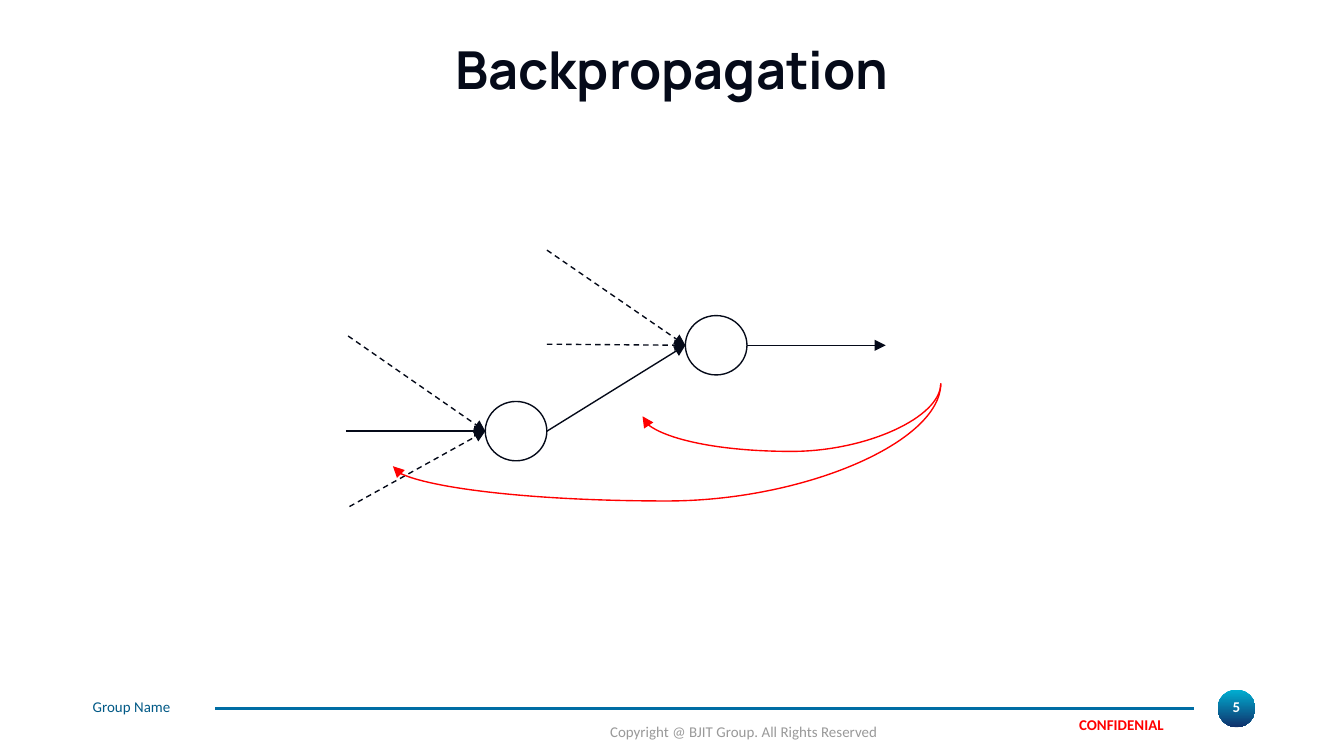
import pptx
import pptx.dml.color
import pptx.enum.dml
import pptx.enum.shapes
import pptx.enum.text
import pptx.oxml.ns
import pptx.util
from lxml import etree

Pt = pptx.util.Pt
qn = pptx.oxml.ns.qn
SHAPE = pptx.enum.shapes.MSO_SHAPE
CONNECTOR = pptx.enum.shapes.MSO_CONNECTOR
ALIGN = pptx.enum.text.PP_ALIGN
MIDDLE = pptx.enum.text.MSO_ANCHOR.MIDDLE

INK, RED, WHITE = "050A19", "FF0000", "FFFFFF"
NEURON_SIZE = (33, 31.8)
BOX_INSETS = (7.2, 3.6, 7.2, 3.6)


def rgb(color):
    return pptx.dml.color.RGBColor.from_string(color)


def write(shape, text, size, color, bold=False, align=ALIGN.LEFT,
          font="Calibri", insets=(0, 0, 0, 0), anchor=None):
    frame = shape.text_frame
    left, top, right, bottom = map(Pt, insets)
    frame_format = {"margin_left": left, "margin_top": top, "margin_right": right,
                    "margin_bottom": bottom, "word_wrap": True,
                    "auto_size": pptx.enum.text.MSO_AUTO_SIZE.NONE}
    for name, value in frame_format.items():
        setattr(frame, name, value)
    if anchor is not None:
        frame.vertical_anchor = anchor
    paragraph = frame.paragraphs[0]
    paragraph.alignment = align
    run = paragraph.add_run()
    run.text = text
    for name, value in {"size": Pt(size), "bold": bold, "name": font}.items():
        setattr(run.font, name, value)
    run.font.color.rgb = rgb(color)


def add_label(slide, box, text, color, **text_format):
    write(slide.shapes.add_textbox(*map(Pt, box)), text, 8, color, **text_format)


def add_plain_shape(slide, kind, box):
    shape = slide.shapes.add_shape(kind, *map(Pt, box))
    shape.shadow.inherit = False
    shape.line.fill.background()
    return shape


def add_line(slide, start, end, color=INK, width=0.75, dashed=False, arrow=True,
             kind=CONNECTOR.STRAIGHT):
    line = slide.shapes.add_connector(kind, *map(Pt, start + end))
    line.line.color.rgb = rgb(color)
    line.line.width = Pt(width)
    if dashed:
        line.line.dash_style = pptx.enum.dml.MSO_LINE.DASH
    properties = line._element.spPr
    if arrow:
        etree.SubElement(properties.find(qn("a:ln")), qn("a:tailEnd"), type="triangle")
    etree.SubElement(properties, qn("a:effectLst"))
    return line


def add_error_curve(slide, start, end, bend):
    """Draw an arrow that leaves downwards and sags to bend times its height."""
    center_x, center_y = (start[0] + end[0]) / 2, (start[1] + end[1]) / 2
    half_run, half_drop = (start[0] - end[0]) / 2, (end[1] - start[1]) / 2
    # The frame is laid out upright and then turned a quarter clockwise.
    curve = add_line(slide, (center_x - half_drop, center_y - half_run),
                     (center_x + half_drop, center_y + half_run), RED,
                     kind=CONNECTOR.CURVE)
    properties = curve._element.spPr
    properties.find(qn("a:xfrm")).set("rot", "5400000")
    adjustments = properties.find(qn("a:prstGeom")).find(qn("a:avLst"))
    etree.SubElement(adjustments, qn("a:gd"), name="adj1",
                     fmla=f"val {round(bend * 100000)}")


def add_neuron(slide, left, center_y):
    """Draw a neuron and return its input and output points."""
    width, height = NEURON_SIZE
    neuron = add_plain_shape(slide, SHAPE.OVAL,
                             (left, center_y - height / 2, width, height))
    neuron.fill.solid()
    neuron.fill.fore_color.rgb = rgb(WHITE)
    neuron.line.color.rgb = rgb(INK)
    neuron.line.width = Pt(0.75)
    return (left, center_y), (left + width, center_y)


def add_footer(slide):
    badge = add_plain_shape(slide, SHAPE.OVAL, (652.3, 369.4, 20.2, 20.2))
    badge.fill.gradient()
    badge.fill.gradient_angle = 270
    for stop, color in zip(badge.fill.gradient_stops, ("00AFD2", "10316B")):
        stop.color.rgb = rgb(color)
    add_label(slide, (654.5, 373.7, 15.8, 10), "5", WHITE, bold=True, align=ALIGN.CENTER)

    add_line(slide, (639.4, 379.4), (115.2, 379.4), "006DA4", 1.5, arrow=False)
    add_label(slide, (49.7, 373.7, 69.8, 10), "Group Name", "005986")
    add_label(slide, (318.2, 383.8, 159.1, 17.3),
              "Copyright @ BJIT Group. All Rights Reserved", "999999",
              align=ALIGN.RIGHT, insets=BOX_INSETS)

    stamp = add_plain_shape(slide, SHAPE.ROUNDED_RECTANGLE, (563, 384.5, 75.6, 7.2))
    stamp.fill.solid()
    stamp.fill.fore_color.rgb = rgb(WHITE)
    fill_color = stamp._element.spPr.find(qn("a:solidFill"))[0]
    etree.SubElement(fill_color, qn("a:alpha"), val="55000")
    write(stamp, "CONFIDENIAL", 8, RED, bold=True, align=ALIGN.CENTER,
          insets=BOX_INSETS, anchor=MIDDLE)


def add_title(slide, text):
    title = slide.shapes.title
    place = {"left": 49.7, "top": 19.4, "width": 620.6, "height": 34.6}
    for name, value in place.items():
        setattr(title, name, Pt(value))
    write(title, text, 28, INK, bold=True, align=ALIGN.CENTER, font="Manrope",
          anchor=MIDDLE)


def add_network(slide):
    hidden_in, hidden_out = add_neuron(slide, 260, 231)
    output_in, output_out = add_neuron(slide, 367.2, 185)

    add_line(slide, hidden_out, output_in)
    add_line(slide, (185.3, 231), hidden_in)
    add_line(slide, output_out, (474.5, 185))
    side_inputs = [((293, 184.4), output_in), ((293, 134), output_in),
                   ((187.2, 271.4), hidden_in), ((186.5, 180), hidden_in)]
    for start, end in side_inputs:
        add_line(slide, start, end, dashed=True)

    error = (504, 205.4)
    add_error_curve(slide, error, (344.2, 223), 2.07)
    add_error_curve(slide, error, (210.5, 249.8), 1.42)


def main():
    deck = pptx.Presentation()
    deck.slide_width, deck.slide_height = Pt(720), Pt(405)
    slide = deck.slides.add_slide(deck.slide_layouts[5])
    add_footer(slide)
    add_title(slide, "Backpropagation")
    add_network(slide)
    deck.save("out.pptx")


if __name__ == "__main__":
    main()
